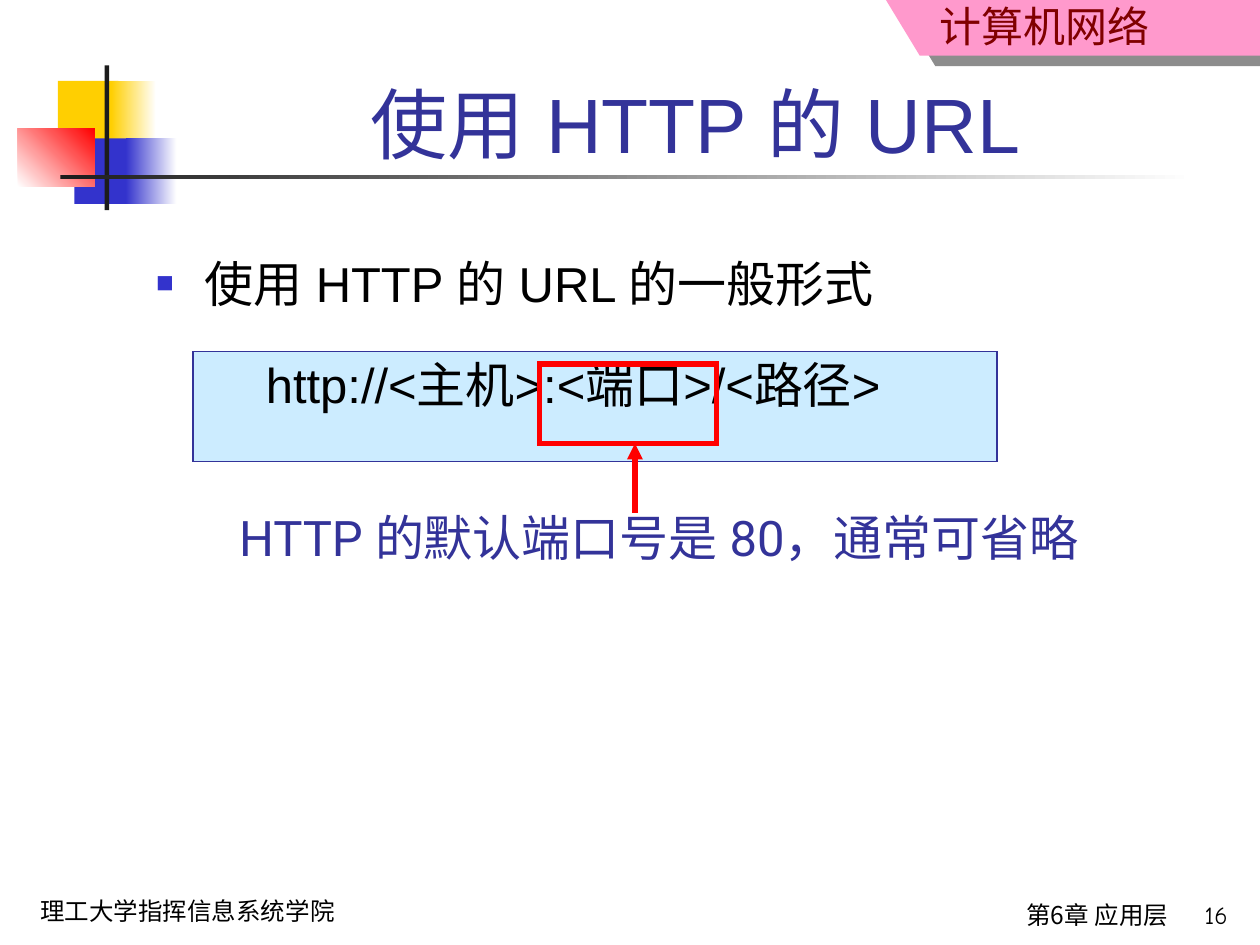
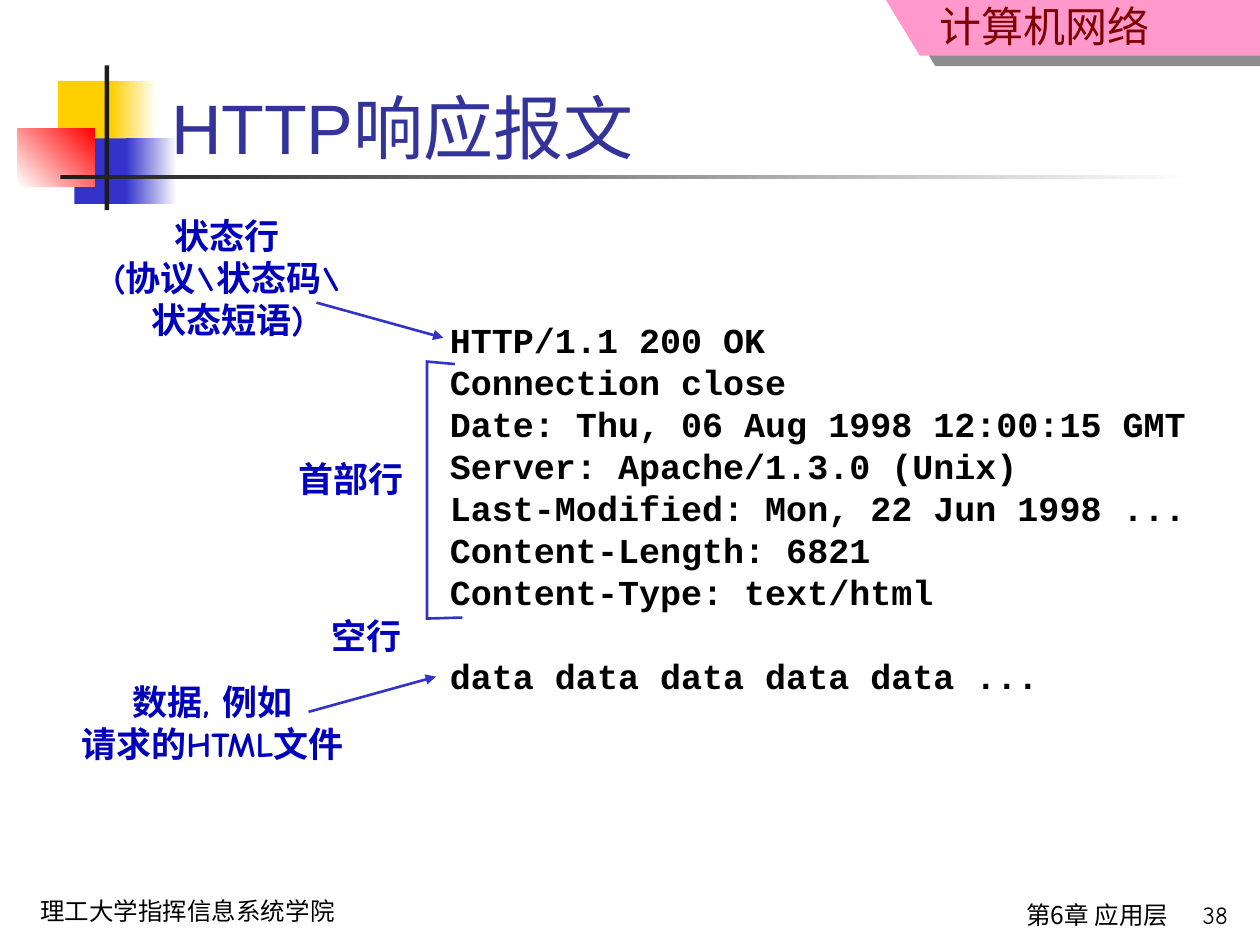
from dataclasses import dataclass
from typing import Optional

from lxml import etree
from pptx import Presentation
from pptx import util as u
from pptx.dml import color as dml
from pptx.enum import shapes, text
from pptx.oxml import ns

COLORS = {
    "yellow": "FFCF01", "blue": "3333CC", "red": "FF0000", "ink": "1C1C1C",
    "white": "FFFFFF", "black": "000000", "pink": "FF99CC", "maroon": "800000",
    "heading": "333399", "pale": "CCECFF", "label": "0000BC",
}
SANS, COMIC, CJK, CODE, NOTE = "Arial", "Comic Neue", "Noto Sans CJK SC", "Courier New", "Roboto"
LEFT, CENTER, RIGHT = text.PP_ALIGN.LEFT, text.PP_ALIGN.CENTER, text.PP_ALIGN.RIGHT


@dataclass(frozen=True)
class Box:
    left: float
    top: float
    width: float
    height: float

    def lengths(self) -> list:
        return [u.Cm(v) for v in (self.left, self.top, self.width, self.height)]


@dataclass(frozen=True)
class Style:
    font: str
    size: float
    color: str
    align: int = LEFT
    bold: bool = False
    pitch: Optional[float] = None


@dataclass(frozen=True)
class Block:
    box: Box
    fill: Optional[str] = None
    fade_to: Optional[str] = None
    angle: float = 0
    line: Optional[str] = None
    weight: float = 0.75


@dataclass(frozen=True)
class Label:
    box: Box
    lines: tuple


@dataclass(frozen=True)
class Arrow:
    start: tuple
    end: tuple
    color: str
    weight: float


TITLE_BOX = Box(3.2, 0.61, 21.64, 2.92)
FOOTER = Style(COMIC, 14, "black")
FOOTER_RIGHT = Style(COMIC, 14, "black", RIGHT)
CHAPTER = Style(CJK, 14, "black", RIGHT)
BANNER = Style(CJK, 24, "maroon", RIGHT)
BODY = Style(SANS, 28, "black")
PORT_NOTE = Style(NOTE, 28, "heading")
MESSAGE = Style(CODE, 20, "black", bold=True, pitch=24)
CALLOUT = Style(COMIC, 20, "label", CENTER, True, 24)

MASTER_BLOCKS = (
    Block(Box(1.17, 1.63, 1.22, 1.32), "yellow"),
    Block(Box(2.24, 1.63, 0.91, 1.32), "yellow", "white"),
    Block(Box(1.5, 2.79, 1.17, 1.32), "blue"),
    Block(Box(2.54, 2.79, 1.02, 1.32), "blue", "white"),
    Block(Box(0.36, 2.59, 1.55, 1.17), "white", "red", 45),
    Block(Box(2.11, 1.32, 0.09, 2.92), "ink"),
    Block(Box(1.22, 3.53, 22.86, 0.09), "ink", "white"),
)
BANNER_OUTLINE = ((17.86, 0), (18.54, 1.12), (25.4, 1.12), (25.4, 0))
HEADER_BRACKET = ((9.17, 7.34), (8.61, 7.29), (8.61, 12.47), (9.32, 12.45))

RESPONSE = (
    "HTTP/1.1 200 OK",
    "Connection close",
    "Date: Thu, 06 Aug 1998 12:00:15 GMT",
    "Server: Apache/1.3.0 (Unix)",
    "Last-Modified: Mon, 22 Jun 1998 ...",
    "Content-Length: 6821",
    "Content-Type: text/html",
    "data data data data data ...",
)
CALLOUTS = (
    Label(Box(1.5, 4.19, 6.17, 2.79), ("状态行", "(协议\\状态码\\", "状态短语)")),
    Label(Box(5.57, 9.09, 3, 1.12), ("首部行",)),
    Label(Box(1, 13.59, 6.57, 1.96), ("数据, 例如", "请求的HTML文件")),
    Label(Box(6.15, 12.27, 2.5, 1.12), ("空行",)),
)
CALLOUT_ARROWS = (
    Arrow((6.38, 6.1), (8.94, 6.81), "blue", 1.5),
    Arrow((6.22, 14.35), (8.79, 13.64), "blue", 1.5),
)


def rgb(name: str) -> dml.RGBColor:
    return dml.RGBColor.from_string(COLORS[name])


def child(parent, tag: str, **attributes: str):
    return etree.SubElement(parent, ns.qn(tag), attributes)


def set_line(shape, color: Optional[str], weight: float = 0.75) -> None:
    if color:
        shape.line.color.rgb = rgb(color)
        shape.line.width = u.Pt(weight)
        child(shape.line._get_or_add_ln(), "a:miter", lim="800000")
    else:
        shape.line.fill.background()


def draw_block(slide, block: Block) -> None:
    shape = slide.shapes.add_shape(shapes.MSO_SHAPE.RECTANGLE, *block.box.lengths())
    shape.shadow.inherit = False
    if block.fade_to:
        shape.fill.gradient()
        shape.fill.gradient_angle = block.angle
        for stop, name in zip(shape.fill.gradient_stops, (block.fill, block.fade_to)):
            stop.color.rgb = rgb(name)
    elif block.fill:
        shape.fill.solid()
        shape.fill.fore_color.rgb = rgb(block.fill)
    else:
        shape.fill.background()
    set_line(shape, block.line, block.weight)


def draw_outline(slide, points: tuple, closed: bool):
    start, *rest = [(u.Cm(x), u.Cm(y)) for x, y in points]
    builder = slide.shapes.build_freeform(*start, scale=1.0)
    builder.add_line_segments(rest, close=closed)
    shape = builder.convert_to_shape()
    shape.shadow.inherit = False
    return shape


def draw_arrow(slide, arrow: Arrow) -> None:
    ends = [u.Cm(v) for v in (*arrow.start, *arrow.end)]
    connector = slide.shapes.add_connector(shapes.MSO_CONNECTOR.STRAIGHT, *ends)
    set_line(connector, arrow.color, arrow.weight)
    child(connector.line._get_or_add_ln(), "a:tailEnd", type="triangle")
    child(connector._element.spPr, "a:effectLst")


def add_run(paragraph, words: str, style: Style) -> None:
    run = paragraph.add_run()
    run.text = words
    run.font.name = style.font
    run.font.size = u.Pt(style.size)
    run.font.bold = style.bold
    run.font.color.rgb = rgb(style.color)
    child(run.font._element, "a:ea", typeface=style.font)


def write(slide, box: Box, lines: tuple, style: Style, wrap: bool = True,
          anchor=text.MSO_ANCHOR.TOP):
    frame = slide.shapes.add_textbox(*box.lengths()).text_frame
    frame.word_wrap = wrap
    frame.vertical_anchor = anchor
    for index, words in enumerate(lines):
        paragraph = frame.add_paragraph() if index else frame.paragraphs[0]
        paragraph.alignment = style.align
        if style.pitch:
            paragraph.line_spacing = u.Pt(style.pitch)
        add_run(paragraph, words, style)
    return frame


def draw_banner(slide) -> None:
    banner = draw_outline(slide, BANNER_OUTLINE, True)
    banner.fill.solid()
    banner.fill.fore_color.rgb = rgb("pink")
    set_line(banner, None)
    effects = banner._element.spPr.find(ns.qn("a:effectLst"))
    shadow = child(effects, "a:outerShdw", dist=str(u.Pt(10.8)), dir=str(34 * 60000),
                   algn="ctr", rotWithShape="0")
    child(child(shadow, "a:srgbClr", val=COLORS["ink"]), "a:alpha", val="50000")
    write(slide, Box(14.78, 0, 8.64, 1.14), ("计算机网络",), BANNER).margin_top = 0


def start_slide(deck, number: int):
    slide = deck.slides.add_slide(deck.slide_layouts[6])
    for block in MASTER_BLOCKS:
        draw_block(slide, block)
    write(slide, Box(0.56, 17.93, 7.9, 0.86), ("理工大学指挥信息系统学院",), FOOTER)
    draw_banner(slide)
    write(slide, Box(10.9, 18.01, 12.9, 1.04), ("第6章 应用层",), CHAPTER)
    write(slide, Box(22.99, 18.01, 2.01, 0.97), (str(number),), FOOTER_RIGHT)
    return slide


def write_title(slide, words: str, size: float, align) -> None:
    write(slide, TITLE_BOX, (words,), Style(SANS, size, "heading", align),
          anchor=text.MSO_ANCHOR.BOTTOM)


def indent(paragraph, margin: float, first: float):
    properties = paragraph._p.get_or_add_pPr()
    properties.set("marL", str(u.Cm(margin)))
    properties.set("indent", str(u.Cm(first)))
    return properties


def build_url_slide(deck) -> None:
    slide = start_slide(deck, 16)
    draw_block(slide, Block(Box(3.89, 7.09, 16.21, 2.21), "pale", line="heading"))
    write_title(slide, "使用 HTTP 的 URL", 44, CENTER)
    body = write(slide, Box(2.9, 4.98, 21.59, 4.47),
                 ("使用 HTTP 的 URL 的一般形式", "http://<主机>:<端口>/<路径>"), BODY)
    general_form, url_pattern = body.paragraphs
    properties = indent(general_form, 0.97, -0.97)
    child(child(properties, "a:buClr"), "a:srgbClr", val=COLORS["blue"])
    child(properties, "a:buSzPct", val="60000")
    child(properties, "a:buFont", typeface=SANS)
    child(properties, "a:buChar", char="■")
    indent(url_pattern, 2.21, 0)
    url_pattern.space_before = u.Pt(24)
    draw_block(slide, Block(Box(10.87, 7.34, 3.58, 1.6), line="red", weight=3))
    draw_arrow(slide, Arrow((12.8, 10.34), (12.8, 8.94), "red", 3))
    write(slide, Box(4.57, 10.11, 17.9, 1.45),
          ("HTTP 的默认端口号是 80，通常可省略",), PORT_NOTE)


def build_response_slide(deck) -> None:
    slide = start_slide(deck, 38)
    write_title(slide, "HTTP响应报文", 40, LEFT)
    message = write(slide, Box(8.82, 6.3, 15.77, 7.87), RESPONSE, MESSAGE)
    message.paragraphs[-1].space_before = u.Pt(MESSAGE.pitch)
    for callout in CALLOUTS:
        write(slide, callout.box, callout.lines, CALLOUT, wrap=False)
    for arrow in CALLOUT_ARROWS:
        draw_arrow(slide, arrow)
    bracket = draw_outline(slide, HEADER_BRACKET, False)
    bracket.fill.background()
    set_line(bracket, "blue", 1.5)


def main() -> None:
    deck = Presentation()
    deck.slide_width, deck.slide_height = u.Cm(25.4), u.Cm(19.05)
    build_url_slide(deck)
    build_response_slide(deck)
    deck.save("out.pptx")


if __name__ == "__main__":
    main()
